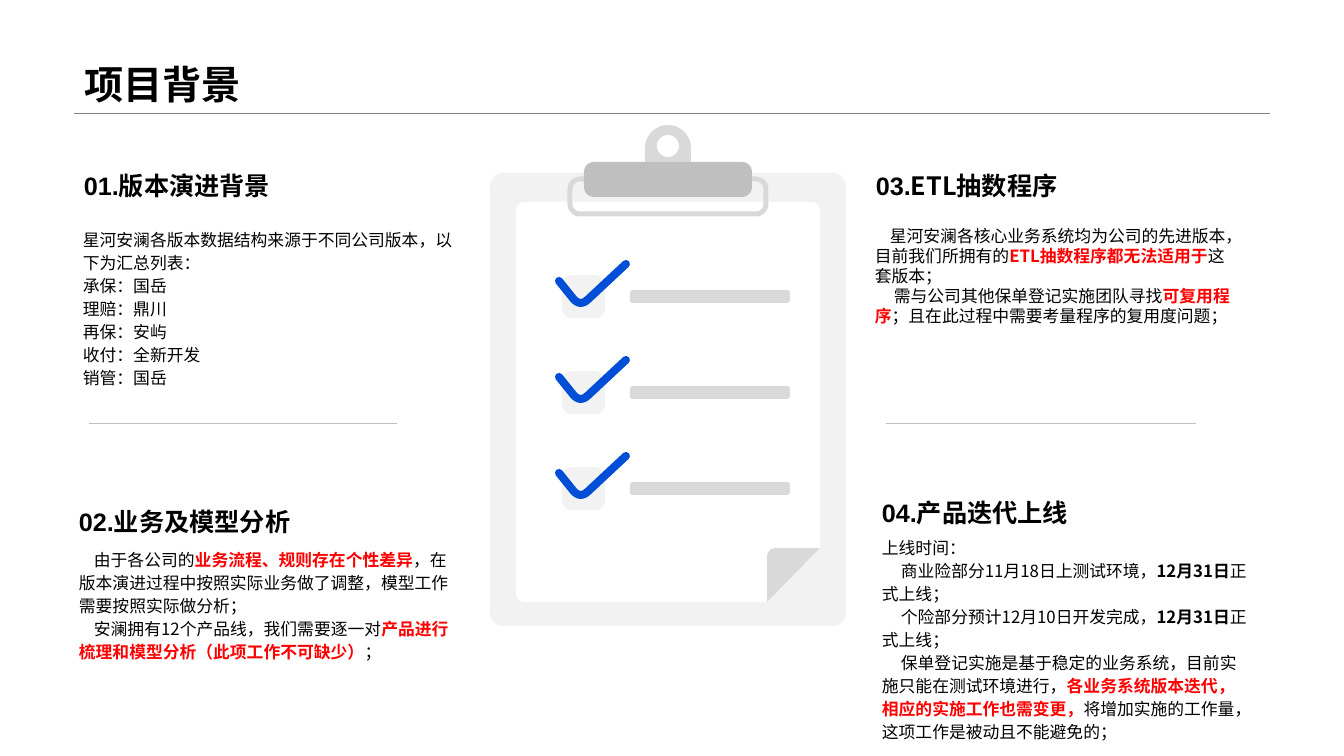
from lxml import etree
from pptx import Presentation, util as u
from pptx.dml.color import RGBColor
from pptx.enum import shapes, text
from pptx.oxml.ns import qn

PX = 914400 / 100.8  # EMU in one px
LATIN, CJK = "Arial", "Noto Sans CJK SC"
BLACK = RGBColor(0x00, 0x00, 0x00)
WHITE = RGBColor(0xFF, 0xFF, 0xFF)
RED = RGBColor(0xFF, 0x00, 0x00)
BLUE = RGBColor(0x00, 0x4E, 0xD6)
PALE = RGBColor(0xF2, 0xF2, 0xF2)
LIGHT = RGBColor(0xD9, 0xD9, 0xD9)
SILVER = RGBColor(0xBF, 0xBF, 0xBF)
GREY = RGBColor(0x80, 0x80, 0x80)

# Run styles: colour, bold
PLAIN, STRONG, ALERT = (BLACK, False), (BLACK, True), (RED, True)

# Content
TITLE = "项目背景"
# Each section: number, heading, heading box, body box, line pitch in px,
# paragraphs as (first-line indent in px, runs)
SECTIONS = [
    ("01.", "版本演进背景", (74, 163, 325, 43), (73, 222, 401, 202), 23, [
        (0, [("星河安澜各版本数据结构来源于不同公司版本，以下为汇总列表：", PLAIN)]),
        (0, [("承保：国岳", PLAIN)]),
        (0, [("理赔：鼎川", PLAIN)]),
        (0, [("再保：安屿", PLAIN)]),
        (0, [("收付：全新开发", PLAIN)]),
        (0, [("销管：国岳", PLAIN)]),
    ]),
    ("02.", "业务及模型分析", (69, 499, 323, 43), (69, 542, 398, 159), 23, [
        (15, [("由于各公司的", PLAIN),
              ("业务流程、规则存在个性差异", ALERT),
              ("，在版本演进过程中按照实际业务做了调整，模型工作需要按照实际做分析；", PLAIN)]),
        (15, [("安澜拥有12个产品线，我们需要逐一对", PLAIN),
              ("产品进行梳理和模型分析（此项工作不可缺少）", ALERT),
              ("；", PLAIN)]),
    ]),
    ("03.", "ETL抽数程序", (866, 163, 323, 43), (865, 221, 379, 154), 20, [
        (15, [("星河安澜各核心业务系统均为公司的先进版本，目前我们所拥有的", PLAIN),
              ("ETL抽数程序都无法适用于", ALERT),
              ("这套版本；", PLAIN)]),
        (19, [("需与公司其他保单登记实施团队寻找", PLAIN),
              ("可复用程序", ALERT),
              ("；且在此过程中需要考量程序的复用度问题；", PLAIN)]),
    ]),
    ("04.", "产品迭代上线", (872, 490, 325, 43), (872, 530, 388, 217), 23, [
        (0, [("上线时间：", PLAIN)]),
        (19, [("商业险部分11月18日上测试环境，", PLAIN),
              ("12月31日", STRONG), ("正式上线；", PLAIN)]),
        (19, [("个险部分预计12月10日开发完成，", PLAIN),
              ("12月31日", STRONG), ("正式上线；", PLAIN)]),
        (19, [("保单登记实施是基于稳定的业务系统，目前实施只能在测试环境进行，", PLAIN),
              ("各业务系统版本迭代，相应的实施工作也需变更，", ALERT),
              ("将增加实施的工作量，这项工作是被动且不能避免的；", PLAIN)]),
    ]),
]
# Rules: left, right, y, colour
RULES = [(74, 1270, 113, GREY), (89, 397, 423, SILVER), (886, 1196, 423, SILVER)]

# Clipboard outlines: (x, y, corner cut)
PAPER = [(516, 202, 10), (820, 202, 10), (820, 548, 0), (767, 602, 0), (516, 602, 10)]
FOLD = [(767, 548, 10), (820, 548, 0), (767, 602, 0)]
TICK = [(559, 281, 0), (580, 307, 11), (626, 264, 0)]
ROWS, ROW_STEP = 3, 96


def emu(px):
    return u.Emu(round(px * PX))


def add_span(para, words, size, style, latin=CJK):
    span = para.add_run()
    span.text = words
    font = span.font
    font.size, font.name = u.Pt(size), latin
    font.color.rgb, font.bold = style
    east = etree.SubElement(span._r.get_or_add_rPr(), qn("a:ea"))
    east.set("typeface", CJK)


def add_frame(page, box, anchor):
    frame = page.shapes.add_textbox(*map(emu, box)).text_frame
    frame.word_wrap = True
    frame.vertical_anchor = anchor
    return frame


def add_section(page, number, heading, head_box, body_box, pitch, paragraphs):
    para = add_frame(page, head_box, text.MSO_ANCHOR.BOTTOM).paragraphs[0]
    para.line_spacing = 1.2
    add_span(para, number, 18, STRONG, LATIN)
    add_span(para, heading, 18, STRONG)
    frame = add_frame(page, body_box, text.MSO_ANCHOR.TOP)
    for index, (indent, spans) in enumerate(paragraphs):
        para = frame.add_paragraph() if index else frame.paragraphs[0]
        para.line_spacing = emu(pitch)
        para._p.get_or_add_pPr().set("indent", str(emu(indent)))
        for words, style in spans:
            add_span(para, words, 12, style)


def add_rule(page, left, right, y, colour):
    rule = page.shapes.add_connector(
        shapes.MSO_CONNECTOR.STRAIGHT, emu(left), emu(y), emu(right), emu(y))
    rule.line.color.rgb, rule.line.width = colour, u.Pt(0.25)
    etree.SubElement(rule._element.spPr, qn("a:effectLst"))


def paint(shape, fill=None, stroke=None, width=0):
    shape.shadow.inherit = False
    if fill is None:
        shape.fill.background()
    else:
        shape.fill.solid()
        shape.fill.fore_color.rgb = fill
    if stroke is None:
        shape.line.fill.background()
    else:
        shape.line.color.rgb, shape.line.width = stroke, emu(width)
    return shape


def add_preset(page, kind, box, radius=None):
    shape = page.shapes.add_shape(kind, *map(emu, box))
    if radius is not None:
        shape.adjustments[0] = radius / min(box[2:])
    return shape


def add_rounded(page, box, radius):
    return add_preset(page, shapes.MSO_SHAPE.ROUNDED_RECTANGLE, box, radius)


def add_outline(page, corners, closed=True, dy=0):
    """Draw a polygon or polyline whose corners are softened by curves."""
    points = []
    for i, (x, y, cut) in enumerate(corners):
        if not cut:
            points.append((x, y))
            continue
        ends = []
        for nx, ny, _ in (corners[i - 1], corners[(i + 1) % len(corners)]):
            share = cut / ((nx - x) ** 2 + (ny - y) ** 2) ** 0.5
            ends.append((x + (nx - x) * share, y + (ny - y) * share))
        for t in (k / 8 for k in range(9)):
            points.append(tuple(
                (1 - t) ** 2 * a + 2 * t * (1 - t) * mid + t * t * b
                for a, mid, b in zip(ends[0], (x, y), ends[1])))
    points = [(emu(x), emu(y + dy)) for x, y in points]
    builder = page.shapes.build_freeform(*points[0], scale=1.0)
    builder.add_line_segments(points[1:], close=closed)
    return builder.convert_to_shape()


def add_clipboard(page):
    paint(add_rounded(page, (490, 173, 356, 453), 13), PALE)
    paint(add_outline(page, PAPER), WHITE)
    paint(add_rounded(page, (570, 179, 196, 35), 10), stroke=LIGHT, width=5)
    paint(add_outline(page, FOLD), LIGHT)
    # Checklist rows
    for dy in (row * ROW_STEP for row in range(ROWS)):
        paint(add_rounded(page, (562, 275 + dy, 43, 43), 10), PALE)
        tick = paint(add_outline(page, TICK, False, dy), stroke=BLUE, width=8)
        stroke = tick.line._get_or_add_ln()
        stroke.set("cap", "rnd")
        etree.SubElement(stroke, qn("a:round"))
        paint(add_rounded(page, (630, 290 + dy, 160, 13), 3), LIGHT)
    # Clip with its hole
    paint(add_preset(page, shapes.MSO_SHAPE.ROUND_2_SAME_RECTANGLE,
                     (645, 125, 46, 49), 23), LIGHT)
    paint(add_preset(page, shapes.MSO_SHAPE.OVAL, (657, 135, 22, 22)), WHITE)
    paint(add_rounded(page, (584, 162, 168, 35), 10), SILVER)


def main():
    deck = Presentation()
    deck.slide_width, deck.slide_height = emu(1344), emu(756)
    page = deck.slides.add_slide(deck.slide_layouts[5])
    # Title
    title = page.shapes.title
    title.left, title.top, title.width, title.height = map(emu, (74, 0, 1196, 113))
    title.text_frame.vertical_anchor = text.MSO_ANCHOR.BOTTOM
    para = title.text_frame.paragraphs[0]
    para.alignment, para.line_spacing = text.PP_ALIGN.LEFT, 0.9
    add_span(para, TITLE, 28, STRONG, LATIN)
    # Rules, clipboard and sections
    for rule in RULES:
        add_rule(page, *rule)
    add_clipboard(page)
    for section in SECTIONS:
        add_section(page, *section)
    deck.save("out.pptx")


if __name__ == "__main__":
    main()
